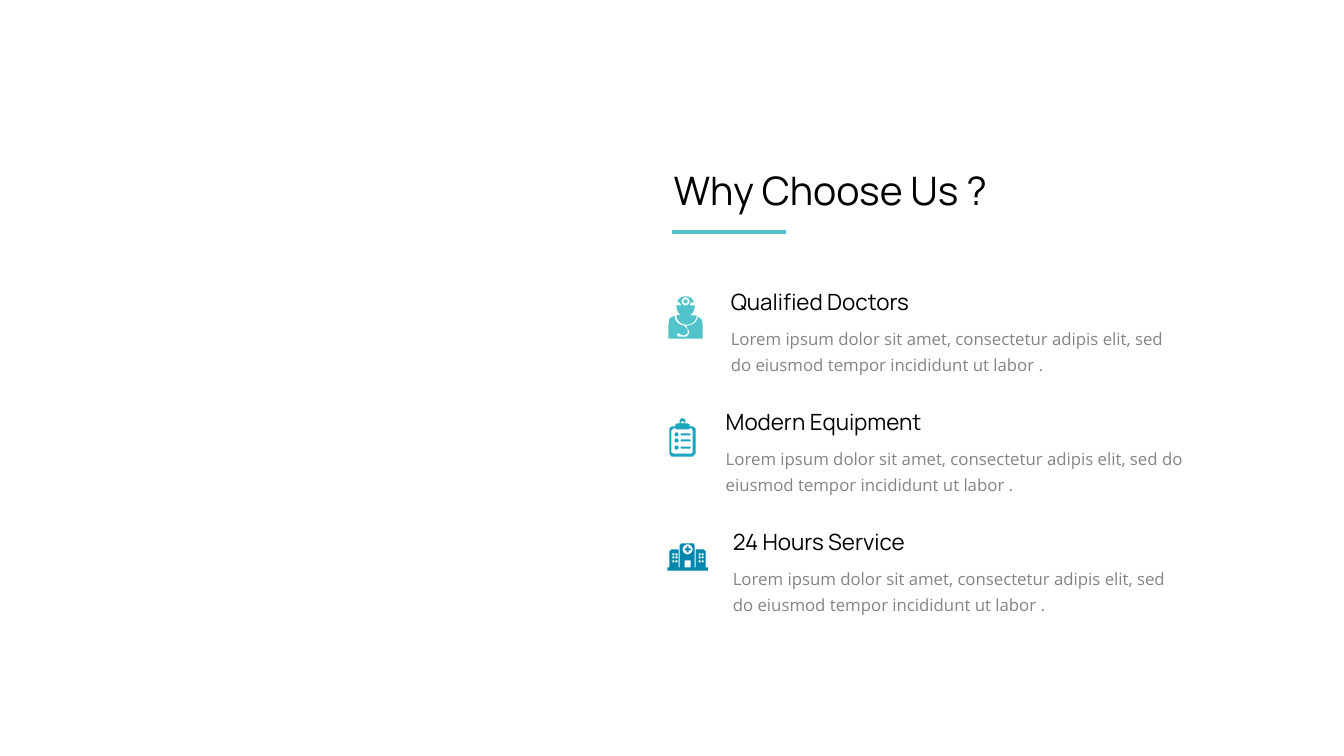
from dataclasses import dataclass
from math import cos, radians, sin

from lxml import etree
from pptx import Presentation
from pptx.dml.color import RGBColor
from pptx.enum import shapes as kinds, text as txt
from pptx.oxml.ns import qn
from pptx.util import Inches, Pt

Ring = list[tuple[float, float]]
LOREM = ("Lorem ipsum dolor sit amet, consectetur adipis elit, "
         "sed do eiusmod tempor incididunt ut labor .")


@dataclass
class Item:
    head: str
    left: float
    top: float
    width: float
    color: str
    icon: list[list[Ring]]  # each entry is an outline followed by its holes


def rgb(code: str) -> RGBColor:
    return RGBColor.from_string(code)


def arc(x: float, y: float, rx: float, ry: float,
        start: float = 0, end: float = 360, steps: int = 24) -> Ring:
    turns = [radians(start + (end - start) * i / steps) for i in range(steps + 1)]
    return [(x + rx * cos(t), y + ry * sin(t)) for t in turns]


def rect(x: float, y: float, w: float, h: float) -> Ring:
    return [(x, y), (x + w, y), (x + w, y + h), (x, y + h)]


def draw(group, rings: list[Ring], color: str):
    """Draw one filled outline with its holes."""
    build = None
    for ring in rings:
        points = [(Inches(x), Inches(y)) for x, y in ring]
        if build is None:
            build = group.build_freeform(*points[0], scale=1.0)
        else:
            build.move_to(*points[0])
        build.add_line_segments(points[1:], close=True)
    shape = build.convert_to_shape()
    shape.shadow.inherit = False
    shape.fill.solid()
    shape.fill.fore_color.rgb = rgb(color)
    shape.line.fill.background()
    return shape


def write(box, words: str, size: float, font: str, color: str,
          space: float = 1.0, wrap: bool = True) -> None:
    frame = box.text_frame
    frame.text = words
    frame.word_wrap = wrap
    frame.auto_size = txt.MSO_AUTO_SIZE.SHAPE_TO_FIT_TEXT
    frame.vertical_anchor = txt.MSO_ANCHOR.TOP
    para = frame.paragraphs[0]
    para.alignment = txt.PP_ALIGN.LEFT
    para.line_spacing = space
    para.font.name, para.font.size = font, Pt(size)
    para.font.color.rgb = rgb(color)


def label(slide, x: float, y: float, w: float, h: float, *style) -> None:
    box = slide.shapes.add_textbox(*map(Inches, (x, y, w, h)))
    write(box, *style)


def doctor() -> list[list[Ring]]:
    face = (arc(6.8, 3.04, 0.09, 0.1, 180, 125, 6)
            + [(6.7, 3.13)] + arc(6.81, 3.13, 0.1, 0.09, 180, 0)
            + [(6.84, 3.13)] + arc(6.8, 3.04, 0.09, 0.1, 55, 0, 6)
            + [(6.89, 3.03), (6.84, 3.03), (6.85, 3)]
            + arc(6.8, 3, 0.08, 0.06, 0, -180)
            + [(6.74, 3), (6.76, 3.03), (6.7, 3.03)])
    coat = ([(6.97, 3.22), (6.96, 3.17), (6.92, 3.14)]
            + arc(6.81, 3.14, 0.11, 0.09, 0, 90)
            + [(6.81, 3.24), (6.82, 3.26), (6.84, 3.29), (6.83, 3.32),
               (6.81, 3.34), (6.74, 3.34), (6.73, 3.34), (6.71, 3.32),
               (6.73, 3.3), (6.75, 3.32), (6.78, 3.33), (6.82, 3.31),
               (6.82, 3.27), (6.79, 3.24), (6.79, 3.23)]
            + arc(6.79, 3.13, 0.1, 0.1, 90, 180)
            + [(6.64, 3.16), (6.63, 3.22), (6.63, 3.36), (6.97, 3.36)])
    return [[face, arc(6.8, 2.99, 0.04, 0.04)], [coat],
            [arc(6.8, 2.99, 0.02, 0.02)]]


def clip() -> list[list[Ring]]:
    board = [(6.84, 4.23), (6.84, 4.21), (6.82, 4.2), (6.79, 4.2),
             *arc(6.77, 4.18, 0.03, 0.03, 0, -180), (6.74, 4.2), (6.72, 4.2),
             (6.7, 4.21), (6.7, 4.23), (6.66, 4.23), (6.64, 4.25),
             (6.64, 4.5), (6.66, 4.53), (6.87, 4.53), (6.9, 4.5),
             (6.9, 4.25), (6.87, 4.23)]
    sheet = [(6.68, 4.25), (6.7, 4.25), (6.71, 4.26), (6.83, 4.26),
             (6.84, 4.25), (6.86, 4.25), (6.87, 4.27), (6.87, 4.49),
             (6.86, 4.5), (6.68, 4.5), (6.66, 4.49), (6.66, 4.27)]
    icon = [[board, sheet, arc(6.77, 4.19, 0.02, 0.01)]]
    for row in (4.31, 4.37, 4.44):
        bar = (arc(6.76, row, 0.01, 0.01, 90, 270, 8)
               + arc(6.84, row, 0.01, 0.01, -90, 90, 8))
        icon += [[arc(6.71, row, 0.02, 0.02)], [bar]]
    return icon


def clinic() -> list[list[Ring]]:
    walls = [(6.62, 5.63), (6.64, 5.63), (6.64, 5.47), (6.66, 5.45),
             (6.73, 5.45), (6.73, 5.63), (6.74, 5.63), (6.74, 5.41),
             (6.76, 5.39), (6.88, 5.39), (6.89, 5.41), (6.89, 5.63),
             (6.9, 5.63), (6.9, 5.45), (6.98, 5.45), (7, 5.47),
             (7, 5.63), (7.02, 5.63), (7.02, 5.66), (6.62, 5.66)]
    panes = [rect(x, y, 0.02, 0.02) for x in (6.67, 6.7, 6.93, 6.96)
             for y in (5.49, 5.52, 5.56)]
    cross = [(6.83, 5.44), (6.85, 5.44), (6.85, 5.46), (6.83, 5.46),
             (6.83, 5.48), (6.81, 5.48), (6.81, 5.46), (6.79, 5.46),
             (6.79, 5.44), (6.81, 5.44), (6.81, 5.42), (6.83, 5.42)]
    door = rect(6.79, 5.56, 0.06, 0.07)
    return [[walls, *panes, door, arc(6.82, 5.45, 0.05, 0.05), cross]]


ITEMS = [
    Item("Qualified Doctors", 7.15, 2.81, 4.73, "52C3CB", doctor()),
    Item("Modern Equipment", 7.1, 4, 4.8, "1AA4BE", clip()),
    Item("24 Hours Service", 7.17, 5.19, 4.73, "0187AD", clinic()),
]


def main() -> None:
    deck = Presentation()
    deck.slide_width, deck.slide_height = Inches(13.33), Inches(7.5)
    slide = deck.slides.add_slide(deck.slide_layouts[5])

    # Half-clear panel with a curved right edge
    edge = arc(9.21, 3.75, 5.04, 5.04, 228, 132, 48)
    panel = draw(slide.shapes, [[(0, 0), (5.85, 0), *edge, (5.85, 7.5), (0, 7.5)]],
                 "FFFFFF")
    tint = panel._element.spPr.find(".//" + qn("a:srgbClr"))
    etree.SubElement(tint, qn("a:alpha"), val="50000")

    # Title and rule
    title = slide.shapes.title
    title.left, title.top, title.width, title.height = map(
        Inches, (6.58, 1.6, 3.44, 0.57))
    write(title, "Why Choose Us ?", 28, "Manrope", "000000", 1.0, False)
    rule = slide.shapes.add_connector(
        kinds.MSO_CONNECTOR.STRAIGHT, *map(Inches, (6.67, 2.3, 7.8, 2.3)))
    rule.line.color.rgb, rule.line.width = rgb("52C3CB"), Pt(3)
    etree.SubElement(rule._element.spPr, qn("a:effectLst"))

    # Reasons, each with its icon
    for item in ITEMS:
        label(slide, item.left, item.top, 2.43, 0.37,
              item.head, 16, "Manrope", "000000")
        group = slide.shapes.add_group_shape()
        for rings in item.icon:
            draw(group.shapes, rings, item.color)
        label(slide, item.left, item.top + 0.34, item.width, 0.6,
              LOREM, 12, "Open Sans", "848484", 1.3)

    deck.save("out.pptx")


if __name__ == "__main__":
    main()
